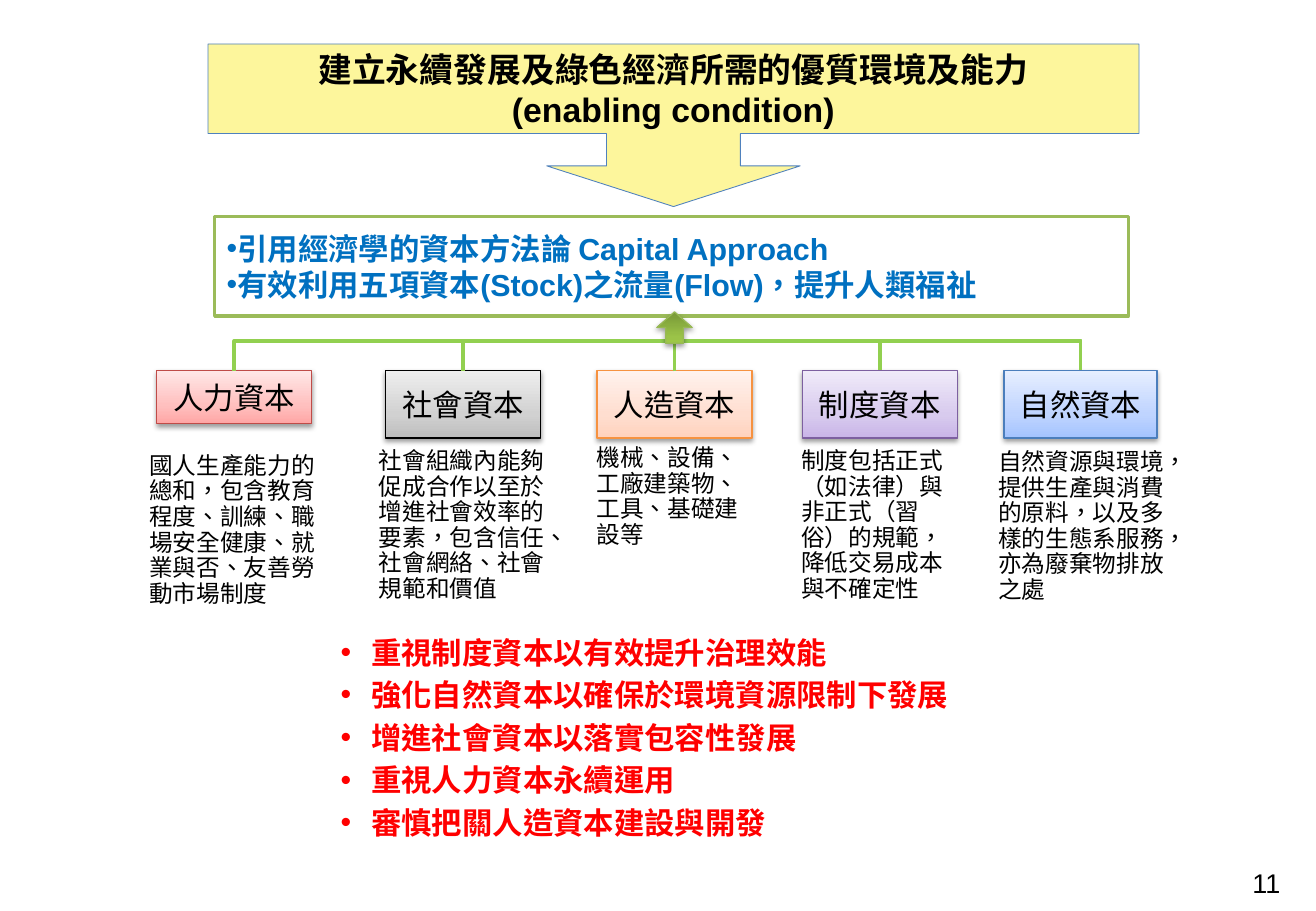
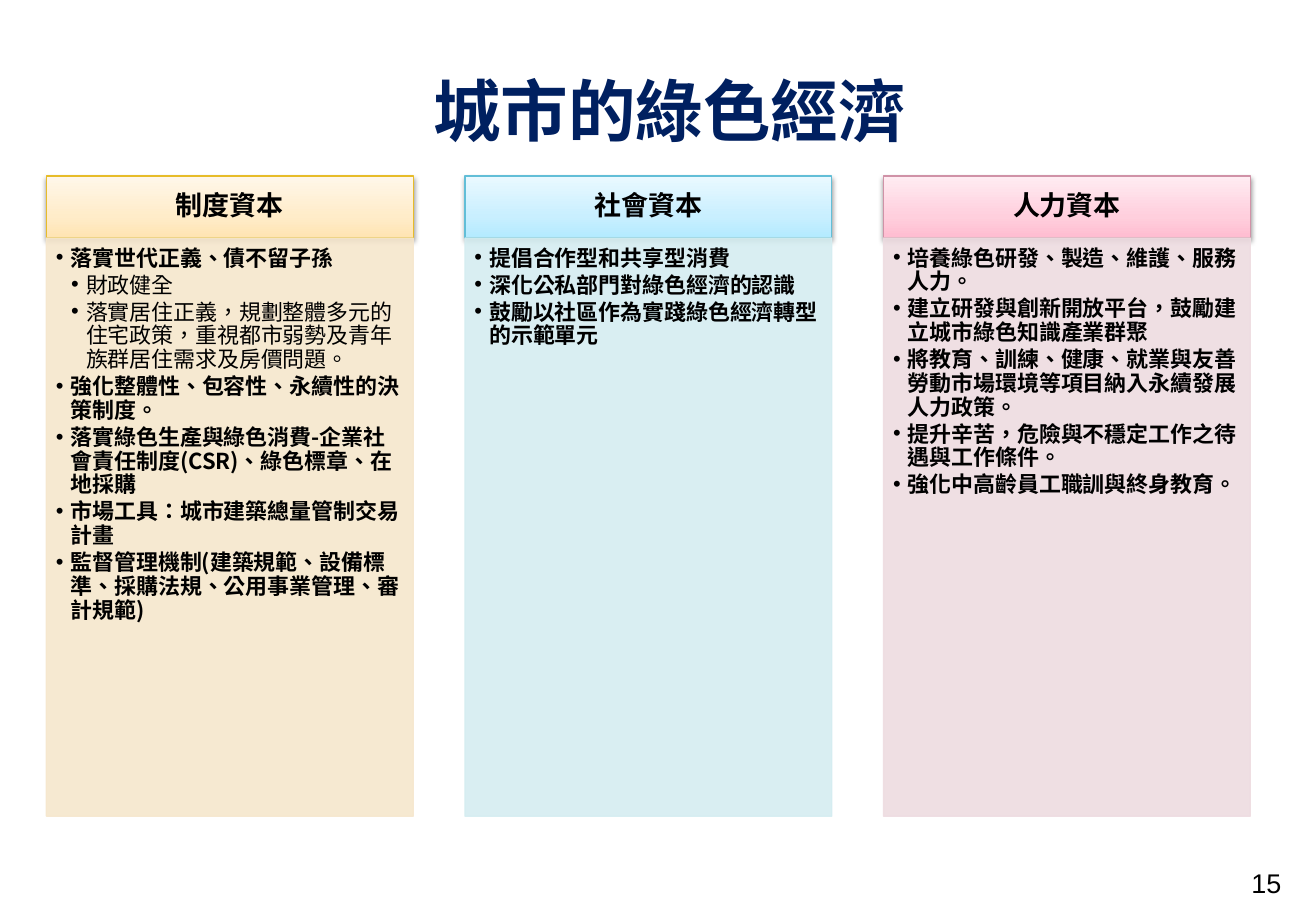
from collections import namedtuple
from dataclasses import dataclass, replace

from lxml import etree
from pptx import Presentation
from pptx.dml.color import RGBColor
from pptx.enum import shapes, text
from pptx.oxml import ns
from pptx.util import Cm, Pt

COLORS = {
    "black": "000000", "white": "FFFFFF", "navy": "002060", "blue": "0070C0",
    "red": "FF0000", "yellow": "FDF69C", "callout line": "4F81BD",
    "frame": "9BBB59", "branch": "92D050", "arrow line": "98B955",
}
NOTO = "Noto Sans CJK SC"
CENTER = text.PP_ALIGN.CENTER
MIDDLE = text.MSO_ANCHOR.MIDDLE

Box = namedtuple("Box", "left top width height")
Gradient = namedtuple("Gradient", "colors line middle", defaults=(35,))
Capital = namedtuple("Capital", "name box gradient note note_box font filled",
                     defaults=("Arial", False))
Column = namedtuple("Column", "name gradient body lines")


@dataclass(frozen=True)
class Style:
    size: float
    font: str = "Arial"
    color: str = "black"
    bold: bool = False
    align: object = text.PP_ALIGN.LEFT
    anchor: object = text.MSO_ANCHOR.TOP
    insets: tuple = (0.25, 0.13, 0.25, 0.13)
    pitch: float = 1.19
    before: float = 0
    after: float = 0
    bullet: bool = False
    margin: float = 0
    hanging: float = 0


NUMBER = Style(16, align=CENTER)
HEADLINE = Style(20, bold=True, align=CENTER, anchor=MIDDLE)
APPROACH = Style(18, color="blue", bold=True, anchor=MIDDLE, bullet=True)
CAPITAL = Style(18, align=CENTER, anchor=MIDDLE)
NOTE = Style(14, insets=(0.23, 0.23, 0.3, 0.36), pitch=1.085, after=2.1)
GOALS = Style(18, NOTO, "red", True, before=3.8, bullet=True, margin=3.18, hanging=0.64)
TITLE = Style(40, NOTO, "navy", True, CENTER, insets=(0.25, 0.15, 0.25, 0.15))
HEADER = Style(16, NOTO, bold=True, align=CENTER, anchor=MIDDLE,
               insets=(0.3, 0.18, 0.3, 0.22), pitch=1.085)
POINT = Style(13, NOTO, bold=True, insets=(0.2, 0.18, 0.24, 0.28), pitch=1.085,
              after=1.9, bullet=True, margin=0.31, hanging=0.31)
SUBPOINT = replace(POINT, bold=False, margin=0.63)

# Each note box is given relative to the left edge and top of its capital.
CAPITALS = [
    Capital("人力資本", Box(3.28, 7.75, 3.24, 1.11),
            Gradient(("FFA6A5", "FFC0BF", "FFE7E7"), "BF4C48"),
            "國人生產能力的總和，包含教育程度、訓練、職場安全健康、就業與否、友善勞動市場制度",
            Box(-0.39, 1.5, 4.39, 3.12), filled=True),
    Capital("社會資本", Box(8.06, 7.75, 3.24, 1.41),
            Gradient(("BDBDBD", "D1D1D1", "EEEEEE"), "000000"),
            "社會組織內能夠促成合作以至於增進社會效率的要素，包含信任、社會網絡、社會規範和價值",
            Box(-0.37, 1.4, 4.11, 3.94)),
    Capital("人造資本", Box(12.48, 7.75, 3.24, 1.41),
            Gradient(("FFD2BD", "FFDED0", "FFF2ED"), "F69240"),
            "機械、設備、工廠建築物、工具、基礎建設等",
            Box(-0.24, 1.34, 3.84, 3.94)),
    Capital("制度資本", Box(16.77, 7.75, 3.24, 1.41),
            Gradient(("C9B5E8", "D8CBEE", "F0EAF9"), "7D60A0"),
            "制度包括正式（如法律）與非正式（習俗）的規範，降低交易成本與不確定性",
            Box(-0.25, 1.4, 3.84, 4.45), NOTO),
    Capital("自然資本", Box(20.99, 7.75, 3.2, 1.41),
            Gradient(("A4C4FF", "BFD4FF", "E6EEFF"), "4B7EBC"),
            "自然資源與環境，提供生產與消費的原料，以及多樣的生態系服務，亦為廢棄物排放之處",
            Box(-0.35, 1.42, 4.32, 3.61)),
]

COLUMNS = [
    Column("制度資本", Gradient(("FFE4B2", "FFECC9", "FFF7EA"), "E7BC29"), "F6E7CD", [
        ("落實世代正義、債不留子孫", POINT),
        ("財政健全", SUBPOINT),
        ("落實居住正義，規劃整體多元的住宅政策，重視都市弱勢及青年族群居住需求及房價問題。", SUBPOINT),
        ("強化整體性、包容性、永續性的決策制度。", POINT),
        ("落實綠色生產與綠色消費-企業社會責任制度(CSR)、綠色標章、在地採購", POINT),
        ("市場工具：城市建築總量管制交易計畫", POINT),
        ("監督管理機制(建築規範、設備標準、採購法規、公用事業管理、審計規範)", POINT),
    ]),
    Column("社會資本", Gradient(("B3EAFF", "C9EFFF", "EAF9FF"), "62BED7"), "D5EDF1", [
        ("提倡合作型和共享型消費", POINT),
        ("深化公私部門對綠色經濟的認識", POINT),
        ("鼓勵以社區作為實踐綠色經濟轉型的示範單元", POINT),
    ]),
    Column("人力資本", Gradient(("FFBCD0", "FFCFDD", "FFECF2"), "D092A7"), "EEDCE1", [
        ("培養綠色研發、製造、維護、服務人力。", POINT),
        ("建立研發與創新開放平台，鼓勵建立城市綠色知識產業群聚", POINT),
        ("將教育、訓練、健康、就業與友善勞動市場環境等項目納入永續發展人力政策。", POINT),
        ("提升辛苦，危險與不穩定工作之待遇與工作條件。", POINT),
        ("強化中高齡員工職訓與終身教育。", POINT),
    ]),
]


def add_xml(parent, tag, **attributes):
    return etree.SubElement(parent, ns.qn(tag), {k: str(v) for k, v in attributes.items()})


def rgb(color):
    return RGBColor.from_string(COLORS.get(color, color))


def lengths(values):
    return [Cm(value) for value in values]


def write(shape, lines, style):
    """Fill the shape with lines, each a string or a (string, style) pair."""
    frame = shape.text_frame
    frame.word_wrap = True
    frame.auto_size = text.MSO_AUTO_SIZE.NONE
    frame.vertical_anchor = style.anchor
    (frame.margin_left, frame.margin_top,
     frame.margin_right, frame.margin_bottom) = lengths(style.insets)
    for index, line in enumerate(lines):
        words, look = (line, style) if isinstance(line, str) else line
        paragraph = frame.add_paragraph() if index else frame.paragraphs[0]
        paragraph.alignment = look.align
        paragraph.line_spacing = Pt(round(look.size * look.pitch, 1))
        paragraph.space_before = Pt(look.before if index else 0)
        paragraph.space_after = Pt(look.after)
        if look.bullet:
            properties = paragraph._p.get_or_add_pPr()
            properties.set("marL", str(Cm(look.margin)))
            properties.set("indent", str(-Cm(look.hanging)))
            add_xml(properties, "a:buFont", typeface="Arial")
            add_xml(properties, "a:buChar", char="•")
        run = paragraph.add_run()
        run.text = words
        run.font.size = Pt(look.size)
        run.font.bold = look.bold
        run.font.color.rgb = rgb(look.color)
        run.font.name = look.font
        properties = run._r.get_or_add_rPr()
        properties.set("lang", "zh-TW")
        add_xml(properties, "a:ea", typeface=NOTO)


def add_text(slide, box, lines, style):
    write(slide.shapes.add_textbox(*lengths(box)), lines, style)


def add_panel(slide, kind, box, fill, line=None, width=0.75):
    """Add a preset shape with a flat or gradient fill; gradients carry a shadow."""
    shape = slide.shapes.add_shape(kind, *lengths(box))
    shape.shadow.inherit = False
    if line:
        shape.line.color.rgb = rgb(line)
        shape.line.width = Pt(width)
    else:
        shape.line.fill.background()
    if isinstance(fill, Gradient):
        paint_gradient(shape, fill)
        add_shadow(shape)
    else:
        shape.fill.solid()
        shape.fill.fore_color.rgb = rgb(fill)
    return shape


def paint_gradient(shape, gradient):
    shape.fill.gradient()
    shape.fill.gradient_angle = 90
    stops = shape._element.spPr.find(".//" + ns.qn("a:gsLst"))
    for stop in list(stops):
        stops.remove(stop)
    for position, color in zip((0, gradient.middle, 100), gradient.colors):
        add_xml(add_xml(stops, "a:gs", pos=position * 1000), "a:srgbClr", val=color)


def add_shadow(shape):
    effects = shape._element.spPr.find(ns.qn("a:effectLst"))
    shadow = add_xml(effects, "a:outerShdw", blurRad=Pt(3.1), dist=Pt(1.6),
                     dir=90 * 60000, rotWithShape=0)
    add_xml(add_xml(shadow, "a:srgbClr", val=COLORS["black"]), "a:alpha", val=38000)


def make_translucent(shape, percent):
    for color in list(shape._element.spPr.iter(ns.qn("a:srgbClr"))):
        add_xml(color, "a:alpha", val=percent * 1000)


def add_bracket(slide, left, right, bottom, bar_top):
    """Join two points by an elbow line, turned a quarter, that runs along the bar."""
    rise = 0.04
    middle, span = (left + right) / 2, right - left
    ends = (middle + rise / 2, bottom + span / 2, middle - rise / 2, bottom - span / 2)
    bracket = slide.shapes.add_connector(shapes.MSO_CONNECTOR.ELBOW, *lengths(ends))
    bracket.line.color.rgb = rgb("branch")
    bracket.line.width = Pt(2.25)
    properties = bracket._element.spPr
    properties.find(ns.qn("a:xfrm")).set("rot", str(90 * 60000))
    bend = round((bottom + rise / 2 - bar_top) / rise * 100000)
    guides = properties.find(".//" + ns.qn("a:avLst"))
    add_xml(guides, "a:gd", name="adj1", fmla=f"val {bend}")
    add_xml(properties, "a:effectLst")


def draw_page_number(slide, number):
    add_text(slide, Box(25.47, 18, 2.01, 0.94), [str(number)], NUMBER)


def draw_headline(slide, box):
    callout = add_panel(slide, shapes.MSO_SHAPE.DOWN_ARROW_CALLOUT, box,
                        "yellow", "callout line", 0.5)
    for index, value in enumerate((0.823, 0.779, 0.25, 0.551)):
        callout.adjustments[index] = value
    write(callout, ["建立永續發展及綠色經濟所需的優質環境及能力", "(enabling condition)"], HEADLINE)


def draw_approach(slide, box):
    frame = add_panel(slide, shapes.MSO_SHAPE.RECTANGLE, box, "white", "frame", 2)
    write(frame, ["引用經濟學的資本方法論 Capital Approach",
                  "有效利用五項資本(Stock)之流量(Flow)，提升人類福祉"], APPROACH)


def draw_capital(slide, capital):
    box, offset = capital.box, capital.note_box
    note_box = offset._replace(left=box.left + offset.left, top=box.top + offset.top)
    note_style = replace(NOTE, font=capital.font)
    if capital.filled:
        note = add_panel(slide, shapes.MSO_SHAPE.RECTANGLE, note_box, "white")
        write(note, [capital.note], note_style)
    else:
        add_text(slide, note_box, [capital.note], note_style)
    panel = add_panel(slide, shapes.MSO_SHAPE.RECTANGLE, box,
                      capital.gradient, capital.gradient.line)
    write(panel, [capital.name], CAPITAL)


def draw_branches(slide, boxes, bar_top):
    """Join the boxes to one bar, with an arrow up from the middle box."""
    centers = [box.left + box.width / 2 for box in boxes]
    for first, last in ((0, 4), (1, 3), (2, 4)):
        add_bracket(slide, centers[first], centers[last], boxes[first].top, bar_top)
    arrow_box = Box(centers[2] - 0.37, bar_top - 0.61, 0.74, 0.66)
    green = Gradient(("779737", "9BC348", "9DC746"), "arrow line", 80)
    arrow = add_panel(slide, shapes.MSO_SHAPE.DOWN_ARROW, arrow_box, green, green.line)
    arrow.rotation = 180


def draw_column(slide, box, column, header_height=1.3):
    header_box = box._replace(height=header_height)
    header = add_panel(slide, shapes.MSO_SHAPE.RECTANGLE, header_box,
                       column.gradient, column.gradient.line)
    write(header, [column.name], HEADER)
    body_box = box._replace(top=box.top + header_height, height=box.height - header_height)
    body = add_panel(slide, shapes.MSO_SHAPE.RECTANGLE, body_box, column.body, column.body)
    make_translucent(body, 90)
    write(body, column.lines, POINT)


def build_capitals_slide(presentation):
    slide = presentation.slides.add_slide(presentation.slide_layouts[6])
    draw_page_number(slide, 11)
    draw_approach(slide, Box(4.49, 4.53, 19.1, 2.08))
    for capital in CAPITALS:
        draw_capital(slide, capital)
    draw_branches(slide, [capital.box for capital in CAPITALS], 7.13)
    draw_headline(slide, Box(4.35, 0.92, 19.46, 3.4))
    add_text(slide, Box(4.33, 13.13, 21.62, 4.72), [
        "重視制度資本以有效提升治理效能",
        "強化自然資本以確保於環境資源限制下發展",
        "增進社會資本以落實包容性發展",
        "重視人力資本永續運用",
        "審慎把關人造資本建設與開發",
    ], GOALS)


def build_city_slide(presentation):
    slide = presentation.slides.add_slide(presentation.slide_layouts[5])
    draw_page_number(slide, 15)
    title = slide.shapes.title
    title.left, title.top, title.width, title.height = lengths(Box(1.16, 1.3, 25.67, 2.13))
    write(title, ["城市的綠色經濟"], TITLE)
    for index, column in enumerate(COLUMNS):
        draw_column(slide, Box(0.97 + index * 8.75, 3.68, 7.67, 13.39), column)


def main():
    presentation = Presentation()
    presentation.slide_width, presentation.slide_height = Cm(27.51), Cm(19.05)
    build_capitals_slide(presentation)
    build_city_slide(presentation)
    presentation.save("out.pptx")


if __name__ == "__main__":
    main()
